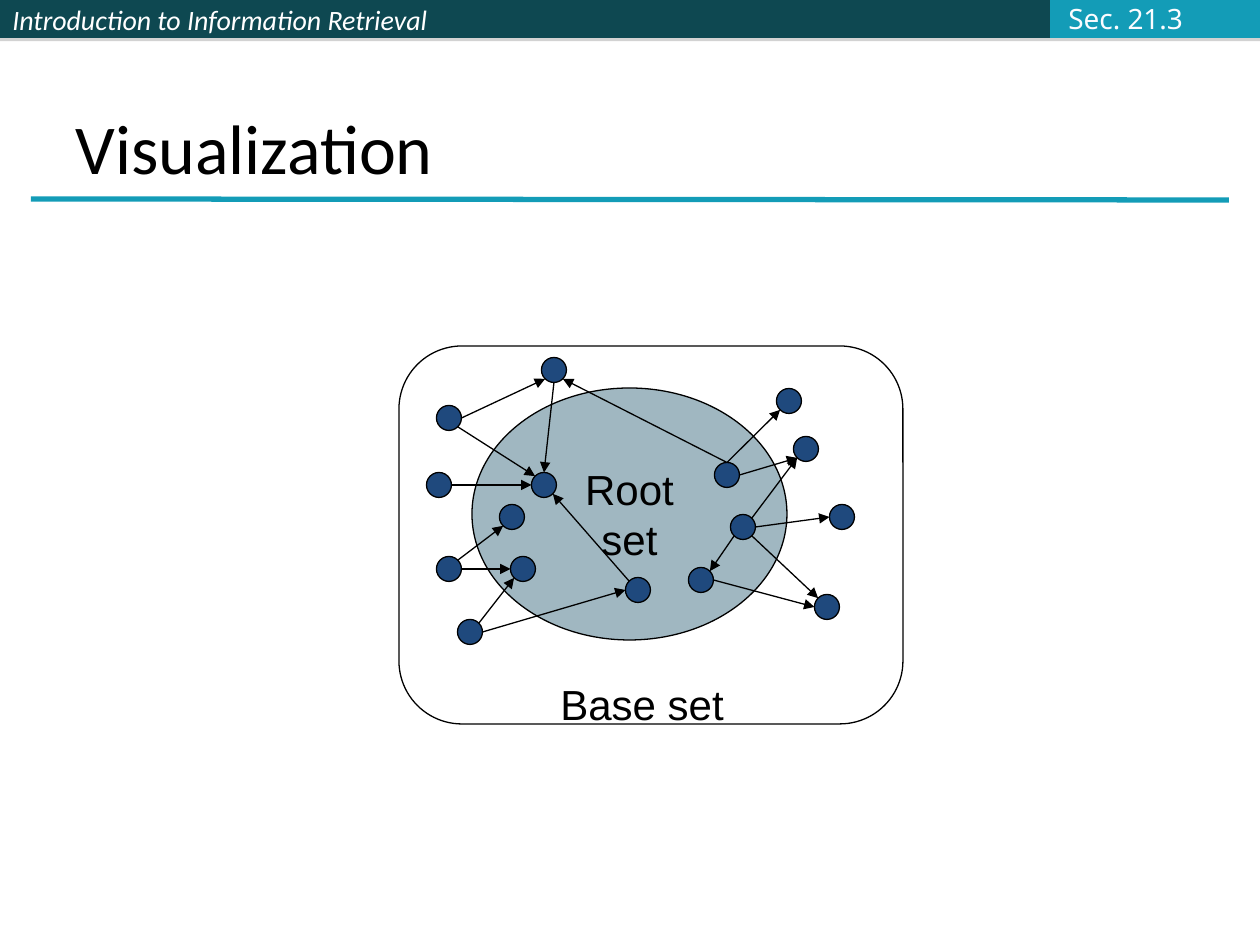
"""Build the slide on the root set and base set of a link graph."""
from lxml import etree
from pptx import Presentation
from pptx.dml.color import RGBColor
from pptx.enum.shapes import MSO_CONNECTOR, MSO_SHAPE
from pptx.enum.text import MSO_ANCHOR, PP_ALIGN
from pptx.oxml.ns import qn
from pptx.util import Pt

RECT, ROUND = MSO_SHAPE.RECTANGLE, MSO_SHAPE.ROUNDED_RECTANGLE
OVAL, DISC = MSO_SHAPE.OVAL, MSO_SHAPE.FLOWCHART_CONNECTOR
STRAIGHT = MSO_CONNECTOR.STRAIGHT
LEFT, CENTER = PP_ALIGN.LEFT, PP_ALIGN.CENTER
MIDDLE, BOTTOM = MSO_ANCHOR.MIDDLE, MSO_ANCHOR.BOTTOM

BLACK = RGBColor(0x00, 0x00, 0x00)
WHITE = RGBColor(0xFF, 0xFF, 0xFF)
PALE = RGBColor(0xFB, 0xFC, 0xFF)
DARK = RGBColor(0x0E, 0x48, 0x51)
TEAL = RGBColor(0x13, 0x9C, 0xB7)
SLATE = RGBColor(0x43, 0x70, 0x85)
NAVY = RGBColor(0x1F, 0x49, 0x7D)

PX = 914400 / 126
WIDE, HIGH = 1260, 945
BAR, DOT = 38, 25

BARS = [
    (0, 514, DARK, "Introduction to Information Retrieval"),
    (514, 1050, DARK, ""),
    (1050, WIDE, TEAL, ""),
]
NODES = {
    "top": (554, 370), "west": (439, 485), "nw": (449, 418),
    "se": (827, 607), "east": (842, 517), "ne": (806, 449),
    "far": (789, 401), "sw": (449, 569), "south": (470, 632),
    "low": (638, 590), "mid": (701, 580), "core": (743, 527),
    "high": (727, 475), "hub": (544, 485), "base": (523, 569),
    "side": (512, 517),
}
LINKS = [
    ("top", "S", "hub", "N"), ("high", "N", "top", "SE"),
    ("high", "N", "far", "SW"), ("high", "E", "ne", "SW"),
    ("core", "E", "east", "W"), ("core", "SE", "se", "NW"),
    ("core", "SW", "mid", "NE"), ("mid", "E", "se", "W"),
    ("core", "NE", "ne", "SW"), ("south", "E", "low", "W"),
    ("south", "NE", "base", "SW"), ("sw", "E", "base", "W"),
    ("sw", "NE", "side", "SW"), ("low", "NW", "hub", "SE"),
    ("west", "E", "hub", "W"), ("nw", "E", "top", "SW"),
    ("nw", "SE", "hub", "NW"),
]


def emu(*vals):
    return [round(val * PX) for val in vals]


def write(shape, text, font, size, color=BLACK, align=LEFT, anchor=MIDDLE,
          italic=False, wrap=False):
    frame = shape.text_frame
    frame.text = text
    frame.word_wrap = wrap
    frame.vertical_anchor = anchor
    for para in frame.paragraphs:
        para.alignment = align
        para.font.name, para.font.size = font, Pt(size)
        para.font.italic = italic
        para.font.color.rgb = color


def draw(slide, kind, box, fill=None, line=BLACK):
    shape = slide.shapes.add_shape(kind, *emu(*box))
    shape.shadow.inherit = False
    if fill is None:
        shape.fill.background()
    else:
        shape.fill.solid()
        shape.fill.fore_color.rgb = fill
    if line is None:
        shape.line.fill.background()
    else:
        shape.line.color.rgb = line
        shape.line.width = Pt(0.75)
    return shape


def join(slide, start, end, color=BLACK, width=0.75, arrow=True):
    line = slide.shapes.add_connector(STRAIGHT, *emu(*start, *end))
    line.line.color.rgb = color
    line.line.width = Pt(width)
    props = line._element.spPr
    if arrow:
        etree.SubElement(props.find(qn("a:ln")), qn("a:tailEnd"), type="triangle")
    etree.SubElement(props, qn("a:effectLst"))


def shade(shape):
    effect = shape._element.spPr.find(qn("a:effectLst"))
    cast = etree.SubElement(effect, qn("a:outerShdw"), dist=str(Pt(1.8)),
                            dir="5400000", rotWithShape="0")
    tint = etree.SubElement(cast, qn("a:srgbClr"), val="808080")
    etree.SubElement(tint, qn("a:alpha"), val="35000")


def rim(name, side):
    x, y = NODES[name]
    reach = DOT / 2 * (0.71 if len(side) == 2 else 1)
    return (x + reach * (("E" in side) - ("W" in side)),
            y + reach * (("S" in side) - ("N" in side)))


def label(slide, box, text, **form):
    write(slide.shapes.add_textbox(*emu(*box)), text, **form)


def main():
    deck = Presentation()
    deck.slide_width, deck.slide_height = emu(WIDE, HIGH)
    slide = deck.slides.add_slide(deck.slide_layouts[5])

    title = slide.shapes.title
    title.left, title.top, title.width, title.height = emu(63, 38, 1134, 157)
    write(title, "Visualization", "Calibri", 40, anchor=BOTTOM, wrap=True)

    for left, right, fill, text in BARS:
        bar = draw(slide, RECT, (left, 0, right - left, BAR), fill, None)
        shade(bar)
        if text:
            write(bar, text, "Calibri", 16, WHITE, italic=True, wrap=True)
    join(slide, (31, 199), (1229, 200), TEAL, 3, arrow=False)

    root = draw(slide, DISC, (472, 388, 315, 252), SLATE)
    tint = root._element.spPr.find(qn("a:solidFill"))[0]
    etree.SubElement(tint, qn("a:alpha"), val="50000")
    write(root, "Root\nset", "Arial", 24, align=CENTER)
    draw(slide, ROUND, (399, 346, 504, 378))

    for x, y in NODES.values():
        draw(slide, OVAL, (x - DOT / 2, y - DOT / 2, DOT, DOT), NAVY)
    for tail, out, head, into in LINKS:
        join(slide, rim(tail, out), rim(head, into))

    label(slide, (538, 672, 208, 63), "Base set", font="Arial", size=24,
          align=CENTER, wrap=True)
    label(slide, (1056, -5, 140, 47), "Sec. 21.3", font="Noto Sans", size=16,
          color=PALE)
    deck.save("out.pptx")


if __name__ == "__main__":
    main()
